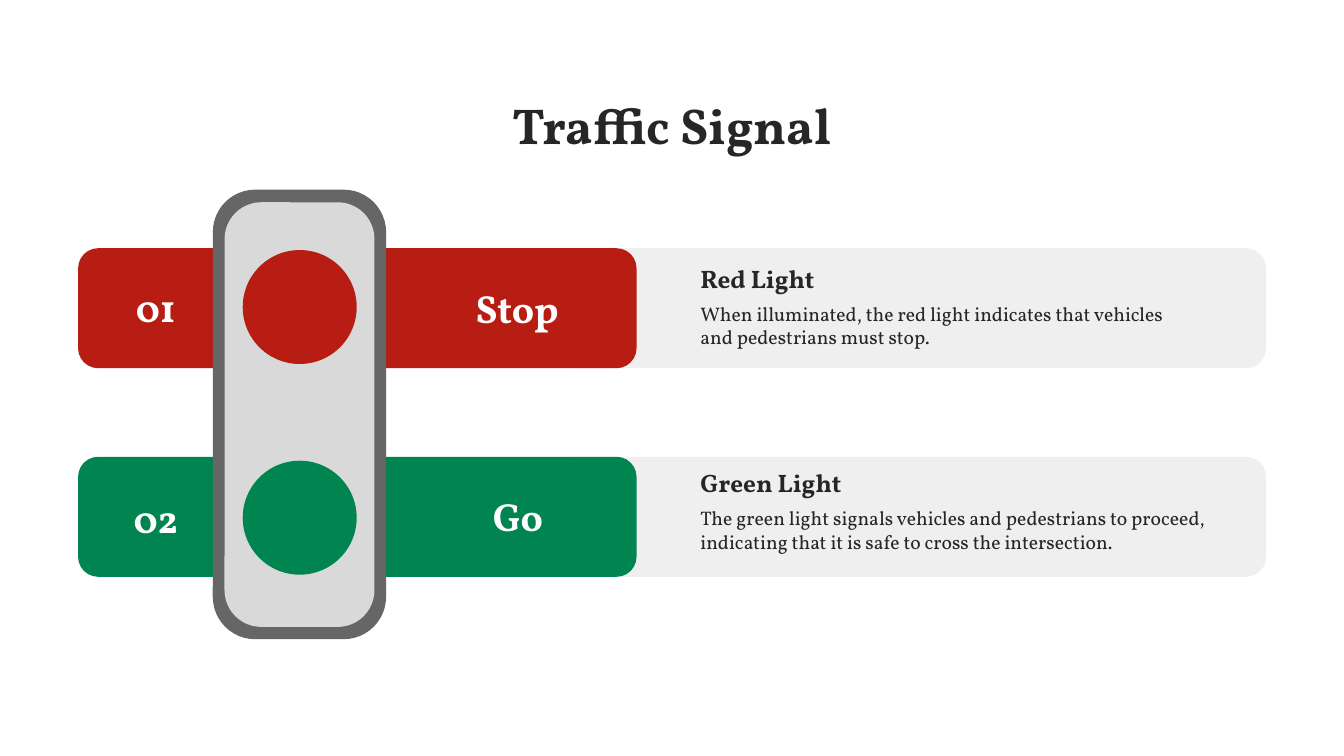
"""Build the traffic signal slide."""
from pptx import Presentation
from pptx.dml.color import RGBColor
from pptx.enum.shapes import MSO_SHAPE
from pptx.enum.text import MSO_ANCHOR, MSO_AUTO_SIZE, PP_ALIGN
from pptx.util import Pt

RED, GREEN, INK, WHITE = "B81D13", "008450", "262626", "FFFFFF"


def color(value):
    return RGBColor.from_string(value)


class SignalSlide:
    font = "Vollkorn"

    def __init__(self, deck):
        self.slide = deck.slides.add_slide(deck.slide_layouts[6])

    def block(self, kind, left, top, width, height, fill=None, corner=None):
        block = self.slide.shapes.add_shape(kind, Pt(left), Pt(top), Pt(width), Pt(height))
        block.shadow.inherit = False
        block.line.fill.background()
        if fill:
            block.fill.solid()
            block.fill.fore_color.rgb = color(fill)
        else:
            block.fill.background()
        if corner:
            block.adjustments[0] = corner
        return block

    def bar(self, left, top, width, fill):
        self.block(MSO_SHAPE.ROUNDED_RECTANGLE, left, top, width, 85.7, fill)

    def housing(self, left, top, width, height, fill):
        self.block(MSO_SHAPE.ROUNDED_RECTANGLE, left, top, width, height, fill, 0.245)

    def lamp(self, top, fill):
        self.block(MSO_SHAPE.OVAL, 173.4, top, 81.4, 81.4, fill)

    def number(self, top, text):
        plate = self.block(MSO_SHAPE.FLOWCHART_ALTERNATE_PROCESS, 70.6, top, 81.4, 85.7)
        plate.text_frame.vertical_anchor = MSO_ANCHOR.MIDDLE
        self.set_text(plate.text_frame.paragraphs[0], text, 28, WHITE, align=PP_ALIGN.CENTER)

    def set_text(self, paragraph, text, size, ink, bold=True, align=PP_ALIGN.LEFT):
        paragraph.text = text
        paragraph.alignment = align
        paragraph.font.name = self.font
        paragraph.font.size = Pt(size)
        paragraph.font.bold = bold
        paragraph.font.color.rgb = color(ink)

    def frame(self, left, top, width, height, wrap=True):
        frame = self.slide.shapes.add_textbox(Pt(left), Pt(top), Pt(width), Pt(height)).text_frame
        frame.word_wrap = wrap
        frame.auto_size = MSO_AUTO_SIZE.SHAPE_TO_FIT_TEXT
        return frame

    def title(self, text):
        frame = self.frame(0, 63.4, 960, 51.1)
        self.set_text(frame.paragraphs[0], text, 36, INK, align=PP_ALIGN.CENTER)

    def command(self, top, width, text):
        frame = self.frame(370.8 - width / 2, top, width, 41, wrap=False)
        self.set_text(frame.paragraphs[0], text, 28, WHITE)

    def meaning(self, top, width, heading, body):
        frame = self.frame(493.2, top, width, 69.1)
        self.set_text(frame.paragraphs[0], heading, 18, INK)
        detail = frame.add_paragraph()
        self.set_text(detail, body, 14, INK, bold=False)
        detail.space_before = Pt(6)


def main():
    deck = Presentation()
    deck.slide_width, deck.slide_height = Pt(960), Pt(540)
    signal = SignalSlide(deck)
    lights = [
        (RED, "01", "Stop", 76.3, "Red Light", 347.8,
         "When illuminated, the red light indicates that vehicles and pedestrians must stop."),
        (GREEN, "02", "Go", 51.8, "Green Light", 402.5,
         "The green light signals vehicles and pedestrians to proceed, "
         "indicating that it is safe to cross the intersection."),
    ]
    for row, (fill, *_) in enumerate(lights):
        top = 177.3 + 149 * row
        signal.bar(396.7, top, 507.6, "EFEFEF")
        signal.bar(55.8, top, 398.9, fill)
    signal.housing(152, 135.5, 123.8, 321.1, "666666")
    signal.housing(160.4, 144.5, 107.1, 303.3, "D9D9D9")
    for row, (fill, number, command, command_width, heading, width, body) in enumerate(lights):
        signal.lamp(178.6 + 150.5 * row, fill)
        signal.number(176.4 + 150.5 * row, number)
        signal.command(199.4 + 149 * row, command_width, command)
        signal.meaning(184.3 + 146.2 * row, width, heading, body)
    signal.title("Traffic Signal")
    deck.save("out.pptx")


if __name__ == "__main__":
    main()
